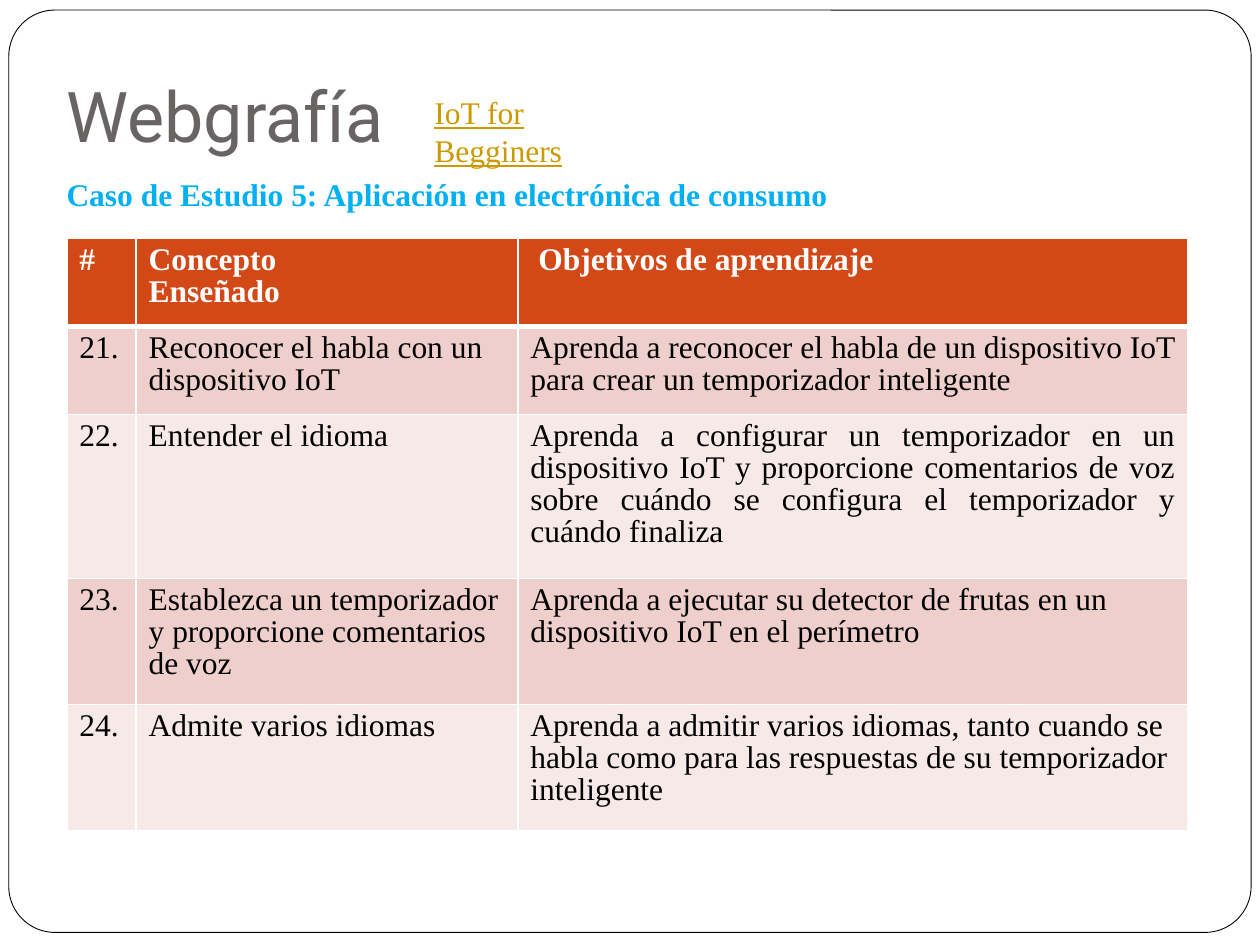
"""Build the bibliography slide with the case study 5 table."""
from dataclasses import dataclass

from lxml.etree import SubElement
from pptx import Presentation
from pptx.dml.color import RGBColor
from pptx.enum.shapes import MSO_SHAPE
from pptx.enum.text import MSO_ANCHOR, PP_ALIGN
from pptx.oxml.ns import qn
from pptx.util import Inches, Pt


@dataclass(frozen=True)
class Theme:
    title_font: str = "Roboto"
    body_font: str = "Times New Roman"
    title_size: int = 40
    body_size: int = 18
    title: str = "696464"
    link: str = "CC9900"
    subtitle: str = "00B0F0"
    header: str = "D34817"
    bands: tuple = ("EFCFCC", "F7E9E8")
    ink: str = "000000"
    paper: str = "FFFFFF"


THEME = Theme()
HEADINGS = ("#", "Concepto\nEnseñado", " Objetivos de aprendizaje")
LESSONS = (
    ("21.", "Reconocer el habla con un dispositivo IoT",
     "Aprenda a reconocer el habla de un dispositivo IoT para crear un temporizador inteligente"),
    ("22.", "Entender el idioma",
     "Aprenda a configurar un temporizador en un dispositivo IoT y proporcione comentarios de voz "
     "sobre cuándo se configura el temporizador y cuándo finaliza"),
    ("23.", "Establezca un temporizador y proporcione comentarios de voz",
     "Aprenda a ejecutar su detector de frutas en un dispositivo IoT en el perímetro"),
    ("24.", "Admite varios idiomas",
     "Aprenda a admitir varios idiomas, tanto cuando se habla como para las respuestas de su "
     "temporizador inteligente"),
)
JUSTIFIED_ROWS = (1, 2)
COLUMN_WIDTHS = (0.55, 3.03, 5.32)
ROW_HEIGHTS = (0.7, 0.7, 1.3, 1, 1)


def format_text(frame, color, size=THEME.body_size, font=THEME.body_font,
                bold=False, underline=False):
    for paragraph in frame.paragraphs:
        for run in paragraph.runs:
            run.font.name = font
            run.font.size = Pt(size)
            run.font.bold = bold
            run.font.underline = underline
            run.font.color.rgb = RGBColor.from_string(color)


def add_text(slide, box, text, color, anchor=MSO_ANCHOR.TOP, bottom_inset=0.05, **style):
    frame = slide.shapes.add_textbox(*map(Inches, box)).text_frame
    frame.word_wrap = True
    frame.vertical_anchor = anchor
    frame.margin_bottom = Inches(bottom_inset)
    frame.text = text
    format_text(frame, color, **style)


def add_frame(slide):
    border = slide.shapes.add_shape(
        MSO_SHAPE.ROUNDED_RECTANGLE, *map(Inches, (0.07, 0.08, 9.86, 7.32)))
    border.adjustments[0] = 0.05
    border.shadow.inherit = False
    border.fill.solid()
    border.fill.fore_color.rgb = RGBColor.from_string(THEME.paper)
    border.line.color.rgb = RGBColor.from_string(THEME.ink)
    border.line.width = Pt(0.5)


def set_borders(cell, widths):
    properties = cell._tc.get_or_add_tcPr()
    for side, width in widths.items():
        line = SubElement(properties, qn(f"a:ln{side}"), w=str(Pt(width)))
        fill = SubElement(line, qn("a:solidFill"))
        SubElement(fill, qn("a:srgbClr"), val=THEME.paper)


def fill_cell(cell, text, row):
    is_header = row == 0
    set_borders(cell, {"L": 1, "R": 1, "T": 3 if row == 1 else 1, "B": 3 if is_header else 1})
    cell.fill.solid()
    background = THEME.header if is_header else THEME.bands[(row - 1) % 2]
    cell.fill.fore_color.rgb = RGBColor.from_string(background)
    cell.text_frame.text = text
    for paragraph in cell.text_frame.paragraphs:
        paragraph.line_spacing = 0.92
    format_text(cell.text_frame, THEME.paper if is_header else THEME.ink, bold=is_header)


def add_lessons(slide):
    rows = (HEADINGS, *LESSONS)
    box = (0.53, 1.89, sum(COLUMN_WIDTHS), sum(ROW_HEIGHTS))
    table = slide.shapes.add_table(len(rows), len(HEADINGS), *map(Inches, box)).table
    table.horz_banding = False
    for column, width in zip(table.columns, COLUMN_WIDTHS):
        column.width = Inches(width)
    for row, (height, texts) in enumerate(zip(ROW_HEIGHTS, rows)):
        table.rows[row].height = Inches(height)
        for column, text in enumerate(texts):
            fill_cell(table.cell(row, column), text, row)
    for row in JUSTIFIED_ROWS:
        table.cell(row, 2).text_frame.paragraphs[0].alignment = PP_ALIGN.JUSTIFY


def main():
    presentation = Presentation()
    presentation.slide_width, presentation.slide_height = Inches(10), Inches(7.5)
    slide = presentation.slides.add_slide(presentation.slide_layouts[6])
    add_frame(slide)
    add_text(slide, (0.43, 0.44, 3.05, 0.9), "Webgrafía", THEME.title,
             anchor=MSO_ANCHOR.BOTTOM, bottom_inset=0.1,
             size=THEME.title_size, font=THEME.title_font)
    add_text(slide, (3.35, 0.69, 1.97, 0.4), "IoT for Begginers", THEME.link, underline=True)
    add_lessons(slide)
    add_text(slide, (0.43, 1.34, 7.07, 0.4),
             "Caso de Estudio 5: Aplicación en electrónica de consumo", THEME.subtitle, bold=True)
    presentation.save("out.pptx")


if __name__ == "__main__":
    main()
